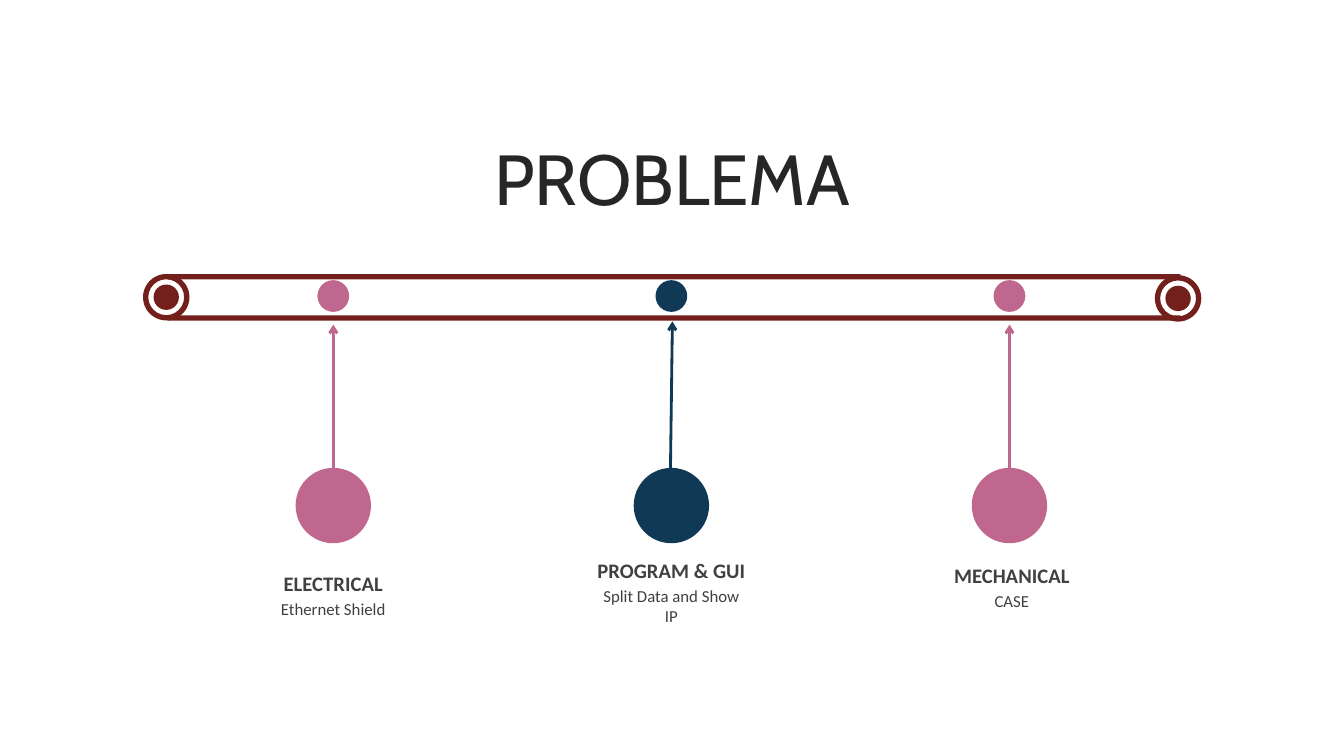
from dataclasses import dataclass

from lxml.etree import SubElement
from pptx import Presentation
from pptx.dml.color import RGBColor
from pptx.enum.shapes import MSO_CONNECTOR, MSO_SHAPE
from pptx.enum.text import MSO_ANCHOR, MSO_AUTO_SIZE, PP_ALIGN
from pptx.oxml.ns import qn
from pptx.shapes.autoshape import Shape
from pptx.slide import Slide
from pptx.text.text import TextFrame
from pptx.util import Cm, Pt

MAROON = RGBColor(0x73, 0x1F, 0x1C)
PINK = RGBColor(0xBF, 0x67, 0x8E)
NAVY = RGBColor(0x0F, 0x39, 0x55)
TITLE_GRAY = RGBColor(0x26, 0x26, 0x26)
TEXT_GRAY = RGBColor(0x40, 0x40, 0x40)

# Lengths in centimetres
FIRST_X, STEP_X = 8.4, 8.52
DOT_Y, DOT_SIZE = 7.46, 0.8
BALL_Y, BALL_SIZE = 12.74, 1.9
ARROW_LENGTH = 3.81
LABEL_WIDTH, HEADING_HEIGHT, DETAIL_HEIGHT = 4.32, 0.89, 0.76
DETAIL_OFFSET = 0.72
BELT_LEFT, BELT_WIDTH, BELT_THICKNESS = 4.22, 25.53, 0.13
PULLEY_SIZE, HUB_SIZE = 1.17, 0.64


@dataclass(frozen=True)
class Milestone:
    heading: str
    detail: str
    color: RGBColor
    label_top: float
    label_shift: float = 0
    arrow_top: float = 8.18
    arrow_lean: float = 0


MILESTONES = (
    Milestone("ELECTRICAL", "Ethernet Shield", PINK, 14.25),
    Milestone("PROGRAM & GUI", "Split Data and Show IP", NAVY, 13.92,
              arrow_top=8.1, arrow_lean=0.05),
    Milestone("MECHANICAL", "CASE", PINK, 14.05, label_shift=0.06),
)
PULLEY_CENTERS = ((4.19, 7.49), (29.69, 7.52))
BELT_TOPS = (6.91, 7.95)


def add_solid(slide: Slide, kind: MSO_SHAPE, left: float, top: float,
              width: float, height: float, color: RGBColor) -> Shape:
    shape = slide.shapes.add_shape(kind, Cm(left), Cm(top), Cm(width), Cm(height))
    shape.shadow.inherit = False
    shape.fill.solid()
    shape.fill.fore_color.rgb = color
    shape.line.fill.background()
    return shape


def add_round(slide: Slide, kind: MSO_SHAPE, x: float, y: float,
              size: float, color: RGBColor) -> Shape:
    return add_solid(slide, kind, x - size / 2, y - size / 2, size, size, color)


def add_arrow(slide: Slide, x: float, milestone: Milestone) -> None:
    lean = milestone.arrow_lean / 2
    connector = slide.shapes.add_connector(
        MSO_CONNECTOR.STRAIGHT,
        Cm(x - lean), Cm(milestone.arrow_top + ARROW_LENGTH),
        Cm(x + lean), Cm(milestone.arrow_top))
    connector.line.color.rgb = milestone.color
    connector.line.width = Pt(2)
    SubElement(connector.line._get_or_add_ln(), qn("a:tailEnd"), type="arrow")
    SubElement(connector._element.spPr, qn("a:effectLst"))


def write_centered(frame: TextFrame, text: str, font: str, size: float,
                   color: RGBColor, bold: bool = False) -> None:
    frame.word_wrap = True
    frame.text = text
    paragraph = frame.paragraphs[0]
    paragraph.alignment = PP_ALIGN.CENTER
    run_font = paragraph.runs[0].font
    run_font.name = font
    run_font.size = Pt(size)
    run_font.bold = bold
    run_font.color.rgb = color


def add_label(slide: Slide, x: float, top: float, height: float, text: str,
              size: float, anchor: MSO_ANCHOR, bold: bool = False) -> None:
    box = slide.shapes.add_textbox(
        Cm(x - LABEL_WIDTH / 2), Cm(top), Cm(LABEL_WIDTH), Cm(height))
    frame = box.text_frame
    write_centered(frame, text, "Calibri", size, TEXT_GRAY, bold)
    frame.auto_size = MSO_AUTO_SIZE.SHAPE_TO_FIT_TEXT
    frame.vertical_anchor = anchor


def add_title(slide: Slide) -> None:
    title = slide.shapes.title
    title.left, title.top = Cm(0.86), Cm(3.66)
    title.width, title.height = Cm(32.16), Cm(2.01)
    frame = title.text_frame
    write_centered(frame, "PROBLEMA", "Cabin", 50.6, TITLE_GRAY)
    frame.auto_size = MSO_AUTO_SIZE.NONE
    frame.vertical_anchor = MSO_ANCHOR.MIDDLE
    frame.margin_left = frame.margin_right = Cm(0.18)
    frame.margin_top = frame.margin_bottom = Cm(0.1)
    paragraph = frame.paragraphs[0]
    paragraph.line_spacing = 0.8
    paragraph.space_before = Pt(10)


def add_conveyor(slide: Slide) -> None:
    for x, y in PULLEY_CENTERS:
        ring = add_round(slide, MSO_SHAPE.DONUT, x, y, PULLEY_SIZE, MAROON)
        ring.adjustments[0] = 0.114
        add_round(slide, MSO_SHAPE.OVAL, x, y, HUB_SIZE, MAROON)
    for top in BELT_TOPS:
        add_solid(slide, MSO_SHAPE.RECTANGLE, BELT_LEFT, top,
                  BELT_WIDTH, BELT_THICKNESS, MAROON)


def add_milestone(slide: Slide, x: float, milestone: Milestone) -> None:
    add_round(slide, MSO_SHAPE.OVAL, x, DOT_Y, DOT_SIZE, milestone.color)
    add_round(slide, MSO_SHAPE.OVAL, x, BALL_Y, BALL_SIZE, milestone.color)
    add_arrow(slide, x, milestone)
    label_x = x + milestone.label_shift
    add_label(slide, label_x, milestone.label_top, HEADING_HEIGHT,
              milestone.heading, 14.7, MSO_ANCHOR.MIDDLE, bold=True)
    add_label(slide, label_x, milestone.label_top + DETAIL_OFFSET, DETAIL_HEIGHT,
              milestone.detail, 12, MSO_ANCHOR.TOP)


def main() -> None:
    presentation = Presentation()
    presentation.slide_width, presentation.slide_height = Cm(33.87), Cm(19.05)
    slide = presentation.slides.add_slide(presentation.slide_layouts[5])

    # Title and conveyor belt
    add_title(slide)
    add_conveyor(slide)

    # Milestones at equal steps
    for index, milestone in enumerate(MILESTONES):
        add_milestone(slide, FIRST_X + index * STEP_X, milestone)

    presentation.save("out.pptx")


if __name__ == "__main__":
    main()
